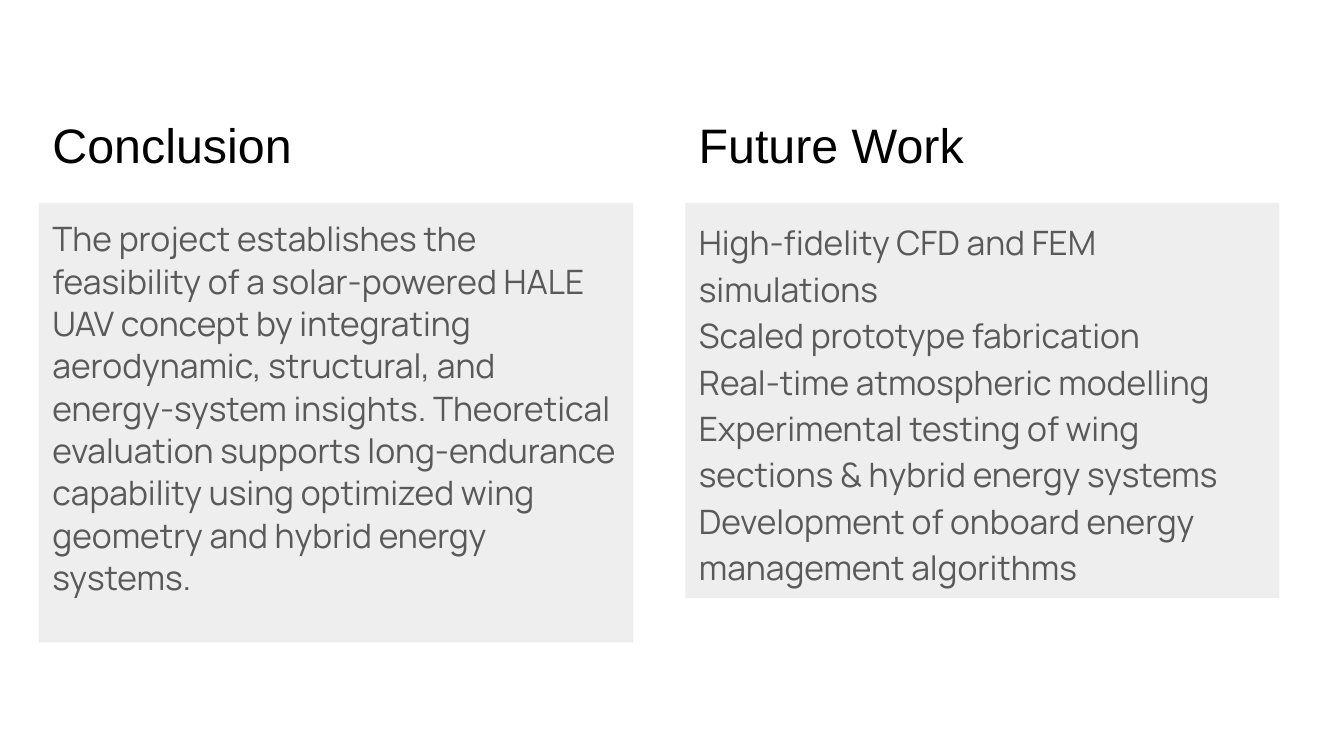
from lxml import etree
from pptx import Presentation
from pptx.dml.color import RGBColor
from pptx.enum.text import MSO_ANCHOR, MSO_AUTO_SIZE, PP_ALIGN
from pptx.oxml.ns import qn
from pptx.util import Inches, Pt

TOP, MIDDLE = MSO_ANCHOR.TOP, MSO_ANCHOR.MIDDLE
FIXED = MSO_AUTO_SIZE.NONE
LEFT = PP_ALIGN.LEFT

LEFT_X, RIGHT_X, WIDTH = 0.29, 5.1, 4.42
HEAD_Y, HEAD_H, PANEL_Y = 0.84, 0.55, 1.51

SUMMARY = [
    "The project establishes the feasibility of a solar-powered HALE UAV "
    "concept by integrating aerodynamic, structural, and energy-system "
    "insights. Theoretical evaluation supports long-endurance capability "
    "using optimized wing geometry and hybrid energy systems."
]
PLANS = [
    "High-fidelity CFD and FEM simulations",
    "Scaled prototype fabrication",
    "Real-time atmospheric modelling",
    "Experimental testing of wing sections & hybrid energy systems",
    "Development of onboard energy management algorithms",
]


def color(code):
    """Turn a hex string into a colour."""
    return RGBColor.from_string(code)


def place(shape, x, y, height):
    """Put a shape in its column."""
    shape.left, shape.top = Inches(x), Inches(y)
    shape.width, shape.height = Inches(WIDTH), Inches(height)


def write(shape, lines, face, size, code, space, after=0, anchor=TOP):
    """Fill a shape with plain, left-aligned paragraphs."""
    frame = shape.text_frame
    frame.text = "\n".join(lines)
    frame.word_wrap = True
    frame.auto_size = FIXED
    frame.vertical_anchor = anchor
    frame.margin_left = frame.margin_right = Inches(0.1)
    frame.margin_top = frame.margin_bottom = Inches(0.1)
    for para in frame.paragraphs:
        para.alignment = LEFT
        para.line_spacing = space
        para.space_before, para.space_after = Pt(0), Pt(after)
        props = para._p.get_or_add_pPr()
        props.set("marL", "0")
        props.set("indent", "0")
        etree.SubElement(props, qn("a:buNone"))
        for run in para.runs:
            run.font.name = face
            run.font.size = Pt(size)
            run.font.color.rgb = color(code)


def heading(shape, text, x, anchor):
    """Set a column heading."""
    place(shape, x, HEAD_Y, HEAD_H)
    write(shape, [text], "Arial", 25.9, "000000", 0.8, anchor=anchor)


def panel(shape, lines, x, height, space, after=0):
    """Set a grey panel of text."""
    place(shape, x, PANEL_Y, height)
    shape.fill.solid()
    shape.fill.fore_color.rgb = color("EEEEEE")
    write(shape, lines, "Manrope", 18, "595959", space, after)


def main():
    """Build the slide with its two columns."""
    deck = Presentation()
    deck.slide_width, deck.slide_height = Inches(10), Inches(10 * 9 / 16)
    slide = deck.slides.add_slide(deck.slide_layouts[3])
    title, summary, plans = slide.placeholders
    future = slide.shapes.add_textbox(0, 0, 0, 0)
    panel(summary, SUMMARY, LEFT_X, 3.27, 1.05, 12)
    heading(title, "Conclusion", LEFT_X, TOP)
    panel(plans, PLANS, RIGHT_X, 2.94, 1.15)
    heading(future, "Future Work", RIGHT_X, MIDDLE)
    deck.save("out.pptx")


if __name__ == "__main__":
    main()
